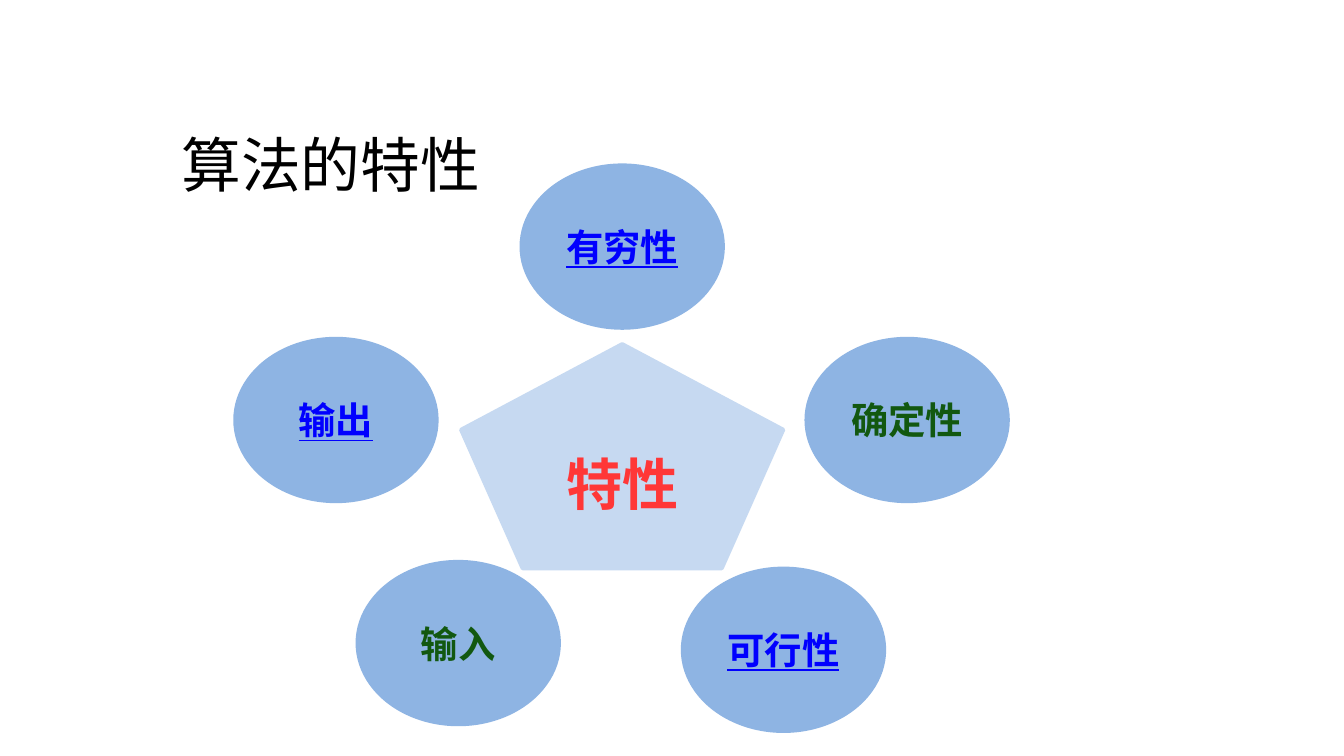
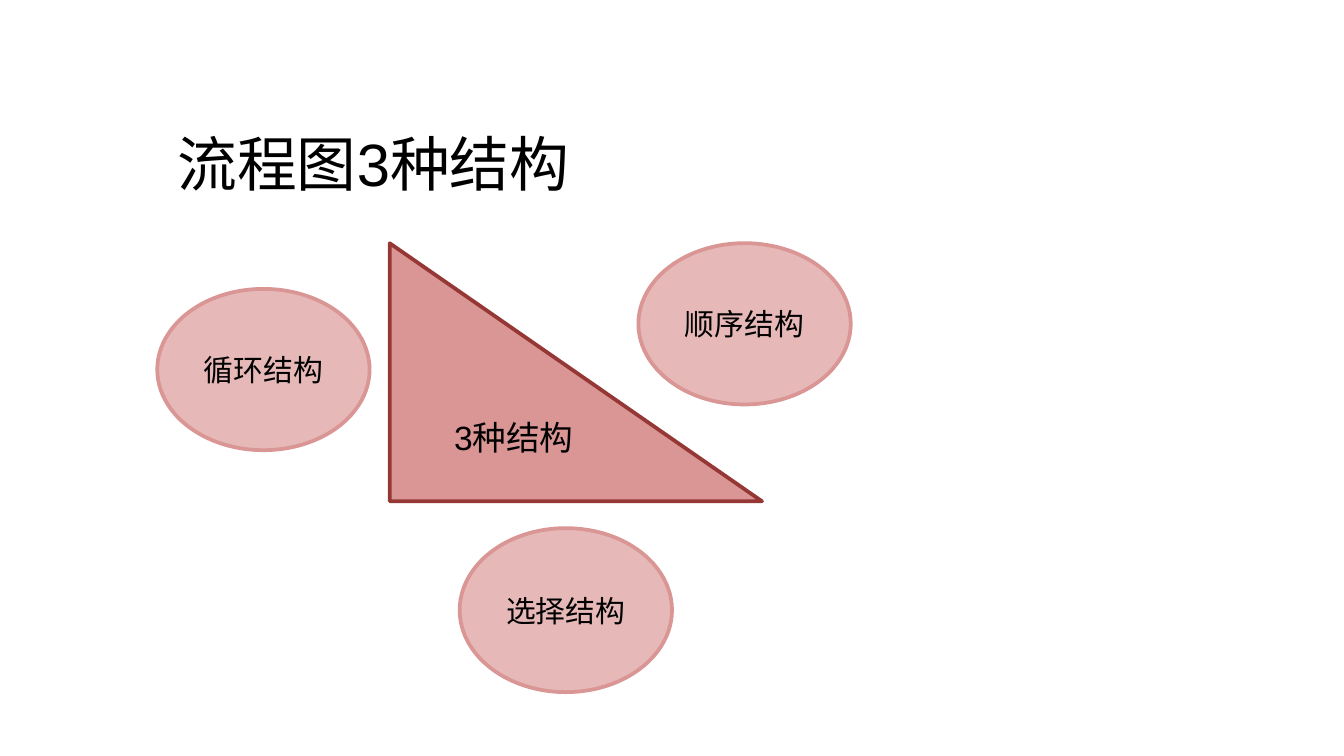
"""Build two slides on the traits of algorithms and the structures of flowcharts."""
from dataclasses import dataclass

from lxml.etree import SubElement
from pptx import Presentation
from pptx.dml.color import RGBColor
from pptx.enum.shapes import MSO_SHAPE
from pptx.enum.text import MSO_ANCHOR, MSO_AUTO_SIZE, PP_ALIGN
from pptx.oxml.ns import qn
from pptx.util import Inches, Pt


@dataclass(frozen=True)
class Theme:
    """Colours, fonts and type sizes shared by the slides."""
    ink: str = "000000"
    paper: str = "FFFFFF"
    link: str = "0000FF"
    green: str = "125810"
    red: str = "FF3737"
    pale: str = "C6D9F1"
    blue: str = "8EB4E3"
    pink: str = "E6B9B8"
    rose: str = "D99694"
    wine: str = "953735"
    cjk: str = "Noto Sans CJK SC"
    body: str = "Calibri"
    plain: str = "Arial"
    head: int = 32
    core: int = 30
    node: int = 20
    mid: int = 18
    small: int = 16
    line: int = 2


T = Theme()
WIDE = 10
HIGH = WIDE * 9 / 16
CELL = WIDE / 100
LINKED = dict(color=T.link, under=True)
STILL = dict(color=T.green)

SLIDES = [
    dict(
        title=("算法的特性", (12.5, 9, 35, 6.7), T.cjk, T.paper),
        core=("特性", MSO_SHAPE.REGULAR_PENTAGON, (34.3, 25.6, 24, 16.7),
              T.pale, T.pale, dict(size=T.core, color=T.red, bold=True)),
        look=(T.blue, T.blue, dict(size=T.node, bold=True)),
        wide=15,
        nodes=[
            ("有穷性", 38.8, 12.3, 12.1, LINKED),
            ("确定性", 60, 25.2, 12.1, STILL),
            ("可行性", 50.8, 42.3, 12.1, LINKED),
            ("输出", 17.5, 25.2, 12.1, LINKED),
            ("输入", 26.6, 41.8, 12.1, STILL),
        ],
    ),
    dict(
        title=("流程图3种结构", (12.2, 8.9, 33.6, 6.7), T.plain, None),
        core=("3种结构", MSO_SHAPE.RIGHT_TRIANGLE, (29, 18.1, 27.7, 19.2),
              T.rose, T.wine, dict(size=T.mid, font=T.plain)),
        look=(T.pink, T.rose, dict(size=T.small)),
        wide=15.8,
        nodes=[
            ("顺序结构", 47.5, 18.1, 12, {}),
            ("选择结构", 34.2, 39.3, 12.2, {}),
            ("循环结构", 11.7, 21.5, 12, {}),
        ],
    ),
]


def place(box):
    return [Inches(round(n * CELL, 2)) for n in box]


def paint(shape, fill):
    shape.fill.solid()
    shape.fill.fore_color.rgb = RGBColor.from_string(fill)


def write(shape, text, size=T.node, color=T.ink, font=T.body, bold=False,
          under=False, align=PP_ALIGN.CENTER, anchor=MSO_ANCHOR.MIDDLE,
          wrap=True):
    frame = shape.text_frame
    frame.word_wrap = wrap
    frame.auto_size = MSO_AUTO_SIZE.NONE
    frame.vertical_anchor = anchor
    para = frame.paragraphs[0]
    para.alignment = align
    run = para.add_run()
    run.text = text
    face = run.font
    face.size, face.bold, face.underline = Pt(size), bold, under
    face.color.rgb = RGBColor.from_string(color)
    face.name = font
    SubElement(run._r.get_or_add_rPr(), qn("a:ea"), typeface=T.cjk)


def draw(slide, text, kind, box, fill, line, **style):
    shape = slide.shapes.add_shape(kind, *place(box))
    shape.shadow.inherit = False
    paint(shape, fill)
    shape.line.color.rgb = RGBColor.from_string(line)
    shape.line.width = Pt(T.line)
    write(shape, text, **style)


def head(slide, text, box, font, fill):
    title = slide.shapes.title
    title.left, title.top, title.width, title.height = place(box)
    if fill:
        paint(title, fill)
    write(title, text, size=T.head, font=font, align=PP_ALIGN.LEFT,
          anchor=MSO_ANCHOR.TOP, wrap=False)


def build(deck, data):
    slide = deck.slides.add_slide(deck.slide_layouts[5])
    head(slide, *data["title"])
    *core, style = data["core"]
    draw(slide, *core, **style)
    fill, line, base = data["look"]
    for text, left, top, high, style in data["nodes"]:
        draw(slide, text, MSO_SHAPE.FLOWCHART_CONNECTOR,
             (left, top, data["wide"], high), fill, line, **base, **style)


def main():
    deck = Presentation()
    deck.slide_width, deck.slide_height = Inches(WIDE), Inches(HIGH)
    for data in SLIDES:
        build(deck, data)
    deck.save("out.pptx")


if __name__ == "__main__":
    main()
